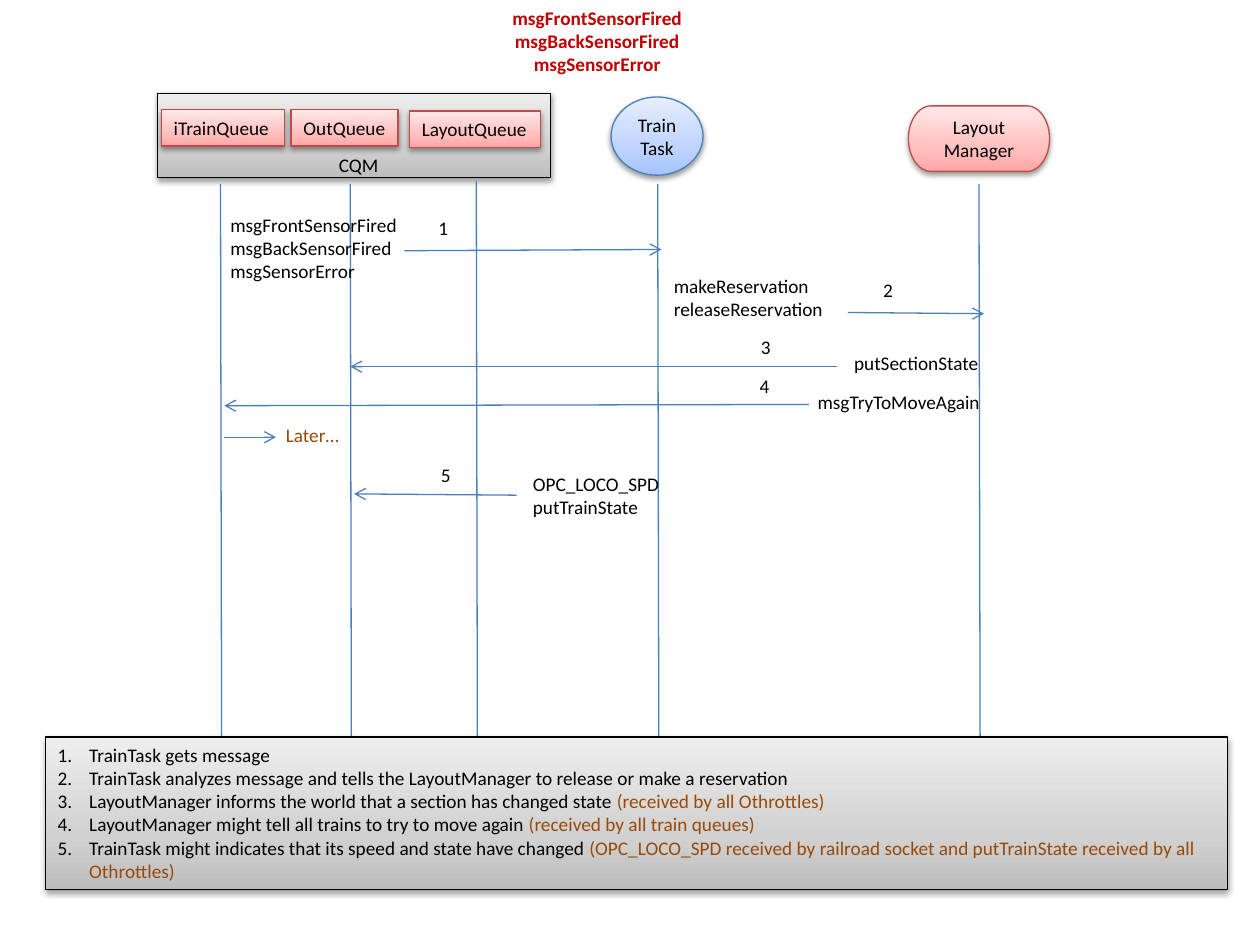
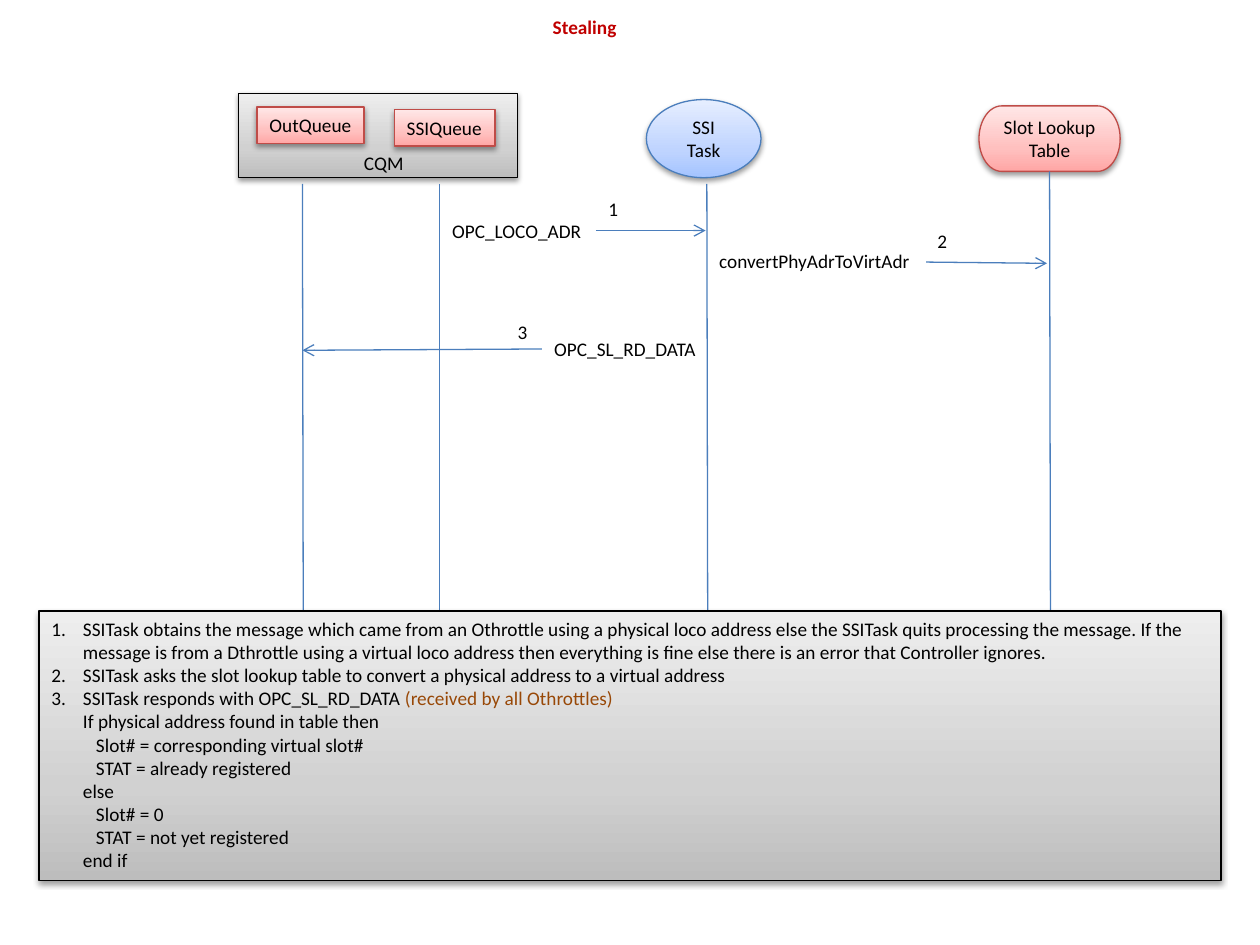
from lxml import etree
from pptx import Presentation, util as u
from pptx.dml.color import RGBColor
from pptx.enum import shapes, text
from pptx.oxml import parse_xml
from pptx.oxml.ns import nsdecls, qn

BLACK, RED, BROWN, BLUE, ROSE = "000000", "C00000", "984807", "4B7EBC", "BF4C48"
GREY_FILL = ("BDBDBD", "D1D1D1", "EEEEEE")
ROSE_FILL = ("FFA6A5", "FFC0BF", "FFE7E7")
BLUE_FILL = ("A4C4FF", "BFD4FF", "E6EEFF")
LEFT, CENTER = text.PP_ALIGN.LEFT, text.PP_ALIGN.CENTER
KIND = shapes.MSO_SHAPE


def rgb(value):
    return RGBColor.from_string(value)


def inches(values):
    return [u.Inches(v) for v in values]


def text_height(lines):
    return 0.1 + 0.185 * lines


class Diagram:
    """Draws sequence diagrams in one shared style."""
    font, size, line_width = "Calibri", u.Pt(11), u.Pt(0.75)

    def __init__(self, deck):
        self.deck = deck
        self.slide = None

    def new_slide(self, title, title_at):
        self.slide = self.deck.slides.add_slide(self.deck.slide_layouts[6])
        self.label(title, title_at, 3.52, color=RED, bold=True, align=CENTER, wrap=True)

    def add_words(self, frame, paragraphs, color=BLACK, bold=False, align=LEFT, numbered=False):
        """A paragraph is a string or a list of (string, colour) runs."""
        for i, content in enumerate(paragraphs):
            para = frame.paragraphs[0] if i == 0 else frame.add_paragraph()
            para.alignment = align
            if numbered:
                props = para._p.get_or_add_pPr()
                props.set("marL", str(u.Inches(0.25)))
                props.set("indent", str(-u.Inches(0.25)))
                etree.SubElement(props, qn("a:buAutoNum"), type="arabicPeriod")
            runs = [(content, color)] if isinstance(content, str) else content
            for words, run_color in runs:
                for n, line in enumerate(words.split("\n")):
                    if n:
                        para.add_line_break()
                    if line:
                        run = para.add_run()
                        run.text = line
                        run.font.name, run.font.size = self.font, self.size
                        run.font.bold = bold
                        run.font.color.rgb = rgb(run_color)

    def label(self, lines, at, width, wrap=False, **style):
        box = self.slide.shapes.add_textbox(*inches((*at, width, text_height(len(lines)))))
        box.text_frame.word_wrap = wrap
        box.text_frame.auto_size = text.MSO_AUTO_SIZE.SHAPE_TO_FIT_TEXT
        self.add_words(box.text_frame, lines, **style)

    def block(self, kind, at, size, stops, outline):
        """A shape with a gradient from bottom to top and a soft shadow."""
        shape = self.slide.shapes.add_shape(kind, *inches((*at, *size)))
        shape.shadow.inherit = False
        shape.fill.gradient()
        shape.fill.gradient_angle = 90
        props = shape._element.spPr
        stop_list = props.find(".//" + qn("a:gsLst"))
        for old in list(stop_list):
            stop_list.remove(old)
        for place, color in zip((0, 35, 100), stops):
            stop = etree.SubElement(stop_list, qn("a:gs"), pos=str(place * 1000))
            etree.SubElement(stop, qn("a:srgbClr"), val=color)
        shape.line.color.rgb = rgb(outline)
        shape.line.width = self.line_width
        props.find(qn("a:effectLst")).append(parse_xml(
            f'<a:outerShdw {nsdecls("a")} blurRad="40000" dist="20000" dir="5400000" '
            'rotWithShape="0"><a:srgbClr val="000000"><a:alpha val="38000"/>'
            '</a:srgbClr></a:outerShdw>'))
        shape.text_frame.vertical_anchor = text.MSO_ANCHOR.TOP
        return shape

    def actor(self, name, kind, at, size, stops, outline):
        shape = self.block(kind, at, size, stops, outline)
        shape.text_frame.vertical_anchor = text.MSO_ANCHOR.MIDDLE
        self.add_words(shape.text_frame, name, align=CENTER)
        return shape

    def task(self, name, at, width):
        return self.actor(name, KIND.FLOWCHART_CONNECTOR, at, (width, 0.62), BLUE_FILL, BLUE)

    def store(self, name, at):
        return self.actor(name, KIND.FLOWCHART_TERMINATOR, at, (1.12, 0.52), ROSE_FILL, ROSE)

    def queue_manager(self, left, width, name_at, queues):
        self.block(KIND.RECTANGLE, (left, 0.74), (width, 0.67), GREY_FILL, BLACK)
        for name, at, queue_width in queues:
            queue = self.block(KIND.RECTANGLE, at, (queue_width, 0.29), ROSE_FILL, ROSE)
            queue.text_frame.word_wrap = False
            self.add_words(queue.text_frame, [name])
        self.label(["CQM"], name_at, 0.52)

    def line(self, start, end, arrow=False):
        line = self.slide.shapes.add_connector(
            shapes.MSO_CONNECTOR.STRAIGHT, *inches((*start, *end)))
        line.line.color.rgb = rgb(BLUE)
        line.line.width = self.line_width
        if arrow:
            etree.SubElement(line.line._get_or_add_ln(), qn("a:tailEnd"), type="arrow")
        etree.SubElement(line._element.spPr, qn("a:effectLst"))
        return line

    def lifeline(self, x, top=1.46, drift=0.01):
        return self.line((x, top), (x + drift, top + 5))

    def message(self, step, step_at, lines, at, width, start, end):
        self.label(lines, at, width)
        self.line(start, end, arrow=True)
        self.label([step], step_at, 0.28)

    def notes(self, at, height, steps):
        panel = self.block(KIND.RECTANGLE, at, (9.38, height), GREY_FILL, BLACK)
        panel.text_frame.word_wrap = True
        self.add_words(panel.text_frame, steps, numbered=True)


def sensor_slide(d):
    sensor_messages = ["msgFrontSensorFired", "msgBackSensorFired", "msgSensorError"]
    d.new_slide(sensor_messages, (2.98, 0))

    # Participants and lifelines
    d.queue_manager(1.25, 3.12, (2.59, 1.17), [
        ("iTrainQueue", (1.28, 0.87), 0.98),
        ("OutQueue", (2.31, 0.87), 0.85),
        ("LayoutQueue", (3.25, 0.88), 1.04)])
    d.task(["Train", "Task"], (4.85, 0.77), 0.73)
    d.store(["Layout\nManager"], (7.21, 0.84))
    for x in (1.75, 2.78, 5.22, 7.77):
        d.lifeline(x)
    d.lifeline(3.78, top=1.44)

    # Explanation
    d.notes((0.36, 5.85), 1.21, [
        "TrainTask gets message",
        "TrainTask analyzes message and tells the LayoutManager to release or make a reservation",
        [("LayoutManager informs the world that a section has changed state ", BLACK),
         ("(received by all Othrottles)", BROWN)],
        [("LayoutManager might tell all trains to try to move again ", BLACK),
         ("(received by all train queues)", BROWN)],
        [("TrainTask might indicates that its speed and state have changed", BLACK),
         (" (OPC_LOCO_SPD received by railroad socket and putTrainState "
          "received by all Othrottles)", BROWN)]])

    # Messages
    d.message("1", (3.38, 1.67), sensor_messages, (1.73, 1.64), 1.53, (3.21, 1.99), (5.25, 1.98))
    d.message("2", (6.91, 2.16), ["makeReservation", "releaseReservation"],
              (5.25, 2.13), 1.4, (6.73, 2.48), (7.81, 2.49))
    d.message("3", (5.94, 2.61), ["putSectionState"], (6.68, 2.74), 1.2, (6.64, 2.91), (2.78, 2.91))
    d.message("4", (5.93, 2.92), ["msgTryToMoveAgain"],
              (6.39, 3.05), 1.52, (6.42, 3.21), (1.78, 3.22))
    d.message("5", (3.4, 3.63), ["OPC_LOCO_SPD", "putTrainState"],
              (4.13, 3.7), 1.21, (4.1, 3.93), (2.81, 3.92))
    d.line((1.78, 3.47), (2.19, 3.47), arrow=True)
    d.label(["Later…"], (2.17, 3.31), 0.64, color=BROWN)


def stealing_slide(d):
    d.new_slide(["Stealing"], (2.88, 0.07))

    # Participants and lifelines
    d.queue_manager(1.89, 2.22, (2.79, 1.15), [
        ("OutQueue", (2.04, 0.85), 0.85),
        ("SSIQueue", (3.13, 0.87), 0.8)])
    d.task(["SSI", "Task"], (5.13, 0.79), 0.91)
    lookup_table = d.store(["Slot Lookup Table"], (7.77, 0.84))
    d.lifeline(2.4)
    d.lifeline(3.49, drift=0)
    d.lifeline(5.61)
    d.lifeline(8.33, top=1.36).begin_connect(lookup_table, 2)

    # Explanation
    d.notes((0.31, 4.85), 2.14, [
        "SSITask obtains the message which came from an Othrottle using a physical loco address "
        "else the SSITask quits processing the message. If the message is from a Dthrottle using "
        "a virtual loco address then everything is fine else there is an error that Controller "
        "ignores.",
        "SSITask asks the slot lookup table to convert a physical address to a virtual address",
        [("SSITask responds with OPC_SL_RD_DATA ", BLACK),
         ("(received by all Othrottles)\n", BROWN),
         ("If physical address found in table then\n"
          "   Slot# = corresponding virtual slot#\n"
          "   STAT = already registered\n"
          "else\n"
          "   Slot# = 0\n"
          "   STAT = not yet registered\n"
          "end if", BLACK)]])

    # Messages
    d.message("1", (4.73, 1.52), ["OPC_LOCO_ADR"], (3.49, 1.69), 1.24, (4.73, 1.83), (5.6, 1.83))
    d.message("2", (7.34, 1.77), ["convertPhyAdrToVirtAdr"],
              (5.61, 1.93), 1.74, (7.35, 2.08), (8.31, 2.09))
    d.message("3", (4.01, 2.49), ["OPC_SL_RD_DATA"], (4.3, 2.63), 1.36, (4.3, 2.77), (2.4, 2.78))


def main():
    deck = Presentation()
    deck.slide_width, deck.slide_height = inches((10, 7.5))
    diagram = Diagram(deck)
    sensor_slide(diagram)
    stealing_slide(diagram)
    deck.save("out.pptx")


if __name__ == "__main__":
    main()
